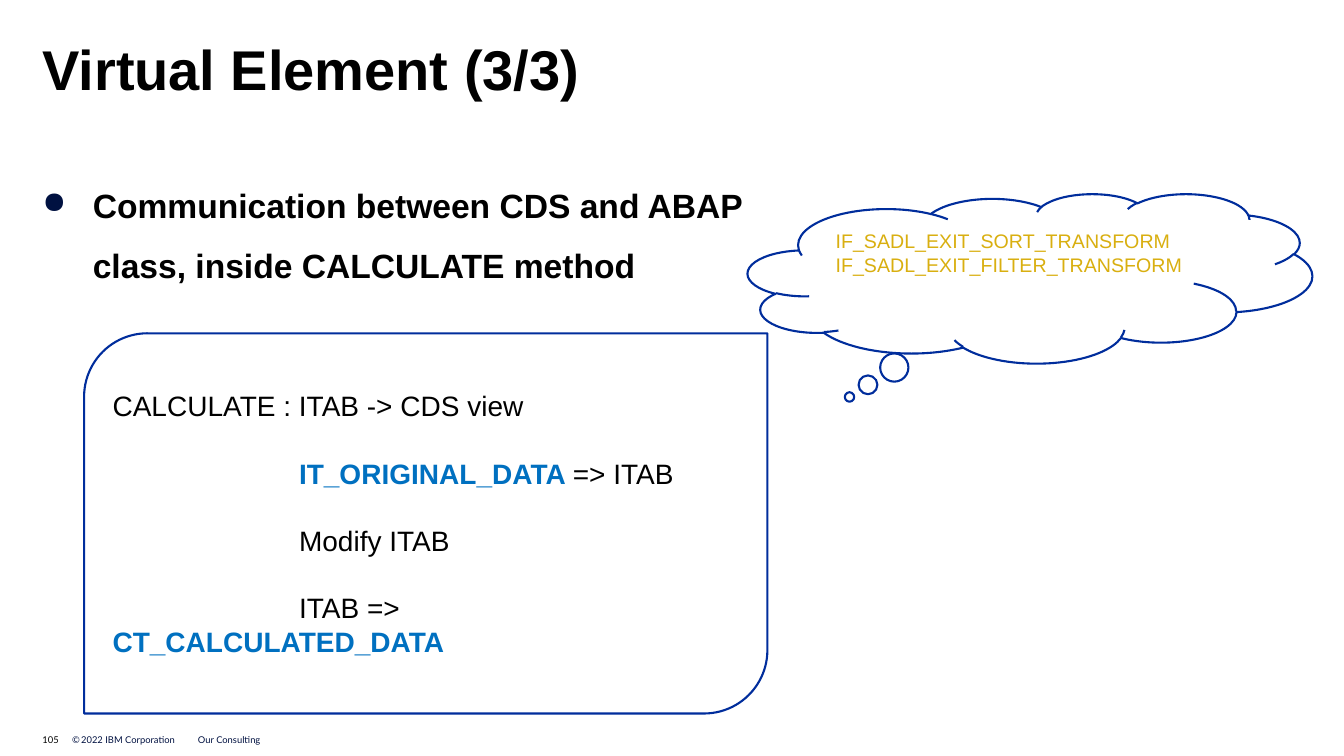
from lxml import etree
from pptx import Presentation
from pptx.dml.color import RGBColor
from pptx.enum.shapes import MSO_SHAPE as Kind
from pptx.enum.text import MSO_ANCHOR as Anchor
from pptx.oxml.ns import qn
from pptx.util import Cm, Pt

INK, NAVY, EDGE = "000000", "001141", "002D9C"
BLUE, GOLD = "0070C0", "D9AF10"


def color(code):
    """Turn a hex string into a colour."""
    return RGBColor.from_string(code)


def style(font, size, code, bold=False, name="Arial"):
    """Set the face, size, weight and colour of a font."""
    font.name, font.size, font.bold = name, Pt(size), bold
    font.color.rgb = color(code)


def setup(frame, pad, anchor=Anchor.TOP):
    """Wrap a text frame and give it margins and an anchor."""
    frame.word_wrap = True
    frame.vertical_anchor = anchor
    frame.margin_left = frame.margin_right = Cm(pad)
    frame.margin_top = frame.margin_bottom = Cm(pad)


def outline(slide, kind, box):
    """Add an unfilled shape with a blue edge."""
    shape = slide.shapes.add_shape(kind, *map(Cm, box))
    shape.shadow.inherit = False
    shape.fill.background()
    shape.line.color.rgb = color(EDGE)
    shape.line.width = Pt(1.5)
    return shape


def title(slide, box):
    """Place and format the title."""
    head = slide.shapes.title
    head.left, head.top, head.width, head.height = map(Cm, box)
    setup(head.text_frame, 0)
    head.text_frame.text = "Virtual Element (3/3)"
    para = head.text_frame.paragraphs[0]
    para.alignment = 1
    para.line_spacing = 0.9
    style(para.runs[0].font, 40, INK, True)


def topic(slide, box):
    """Add the bulleted statement."""
    frame = slide.shapes.add_textbox(*map(Cm, box)).text_frame
    setup(frame, 0)
    frame.margin_top = Cm(0.1)
    frame.text = "Communication between CDS and ABAP class, inside CALCULATE method"
    para = frame.paragraphs[0]
    para.line_spacing = 1.5
    props = para._p.get_or_add_pPr()
    props.set("marL", str(Cm(1.27)))
    props.set("indent", str(-Cm(1.27)))
    tint = etree.SubElement(props, qn("a:buClr"))
    etree.SubElement(tint, qn("a:srgbClr"), val=NAVY)
    etree.SubElement(props, qn("a:buSzPct"), val="90000")
    etree.SubElement(props, qn("a:buChar"), char="●")
    style(para.runs[0].font, 24, INK, True)


def steps(slide, box):
    """Add the rounded panel with the data flow of the method."""
    frame = outline(slide, Kind.ROUND_2_DIAG_RECTANGLE, box).text_frame
    setup(frame, 0.25, Anchor.MIDDLE)
    frame.margin_right = Cm(0.5)
    lines = [
        [("CALCULATE : ITAB -> CDS view", False)],
        [("IT_ORIGINAL_DATA ", True), ("=> ITAB", False)],
        [("Modify ITAB", False)],
        [("ITAB => ", False), ("CT_CALCULATED_DATA", True)],
    ]
    for i, line in enumerate(lines):
        para = frame.add_paragraph() if i else frame.paragraphs[0]
        para.alignment = 1
        para.line_spacing = Pt(24)
        if i:
            para.space_before = Pt(24)
            para._p.get_or_add_pPr().set("indent", str(Cm(4.7)))
        for text, key in line:
            run = para.add_run()
            run.text = text
            style(run.font, 20, BLUE if key else INK, key)


def cloud(slide, box):
    """Add the thought cloud naming the exit interfaces."""
    shape = outline(slide, Kind.CLOUD_CALLOUT, box)
    shape.adjustments[0], shape.adjustments[1] = -0.32, 0.7
    frame = shape.text_frame
    setup(frame, 0.25)
    frame.text = "IF_SADL_EXIT_SORT_TRANSFORM\nIF_SADL_EXIT_FILTER_TRANSFORM"
    for para in frame.paragraphs:
        para.alignment = 1
        style(para.runs[0].font, 14, GOLD)


def footer(slide, box):
    """Add the page number, copyright line and unit name."""
    left, top, width, height = box
    parts = [
        (0, 0.7, INK, [("105", 6.7)]),
        (0.75, 3, NAVY, [("©", 6.7), (" ", 3.3), ("2022 IBM Corporation", 6.7)]),
        (3.92, width - 3.92, NAVY, [("Our Consulting", 6.7)]),
    ]
    for shift, wide, code, runs in parts:
        spot = map(Cm, (left + shift, top, wide, height))
        frame = slide.shapes.add_textbox(*spot).text_frame
        setup(frame, 0, Anchor.MIDDLE)
        for text, size in runs:
            run = frame.paragraphs[0].add_run()
            run.text = text
            style(run.font, size, code, name="Lato")


def main():
    """Build the slide and save it."""
    deck = Presentation()
    deck.slide_width, deck.slide_height = Cm(33.87), Cm(19.05)
    slide = deck.slides.add_slide(deck.slide_layouts[5])
    footer(slide, (1.07, 18.4, 7.7, 0.5))
    title(slide, (1.07, 1.07, 31.17, 2.97))
    topic(slide, (1.07, 4.04, 18.6, 13.64))
    steps(slide, (2.12, 8.4, 17.22, 9.58))
    cloud(slide, (18.85, 4.88, 14.22, 4.27))
    deck.save("out.pptx")


if __name__ == "__main__":
    main()
